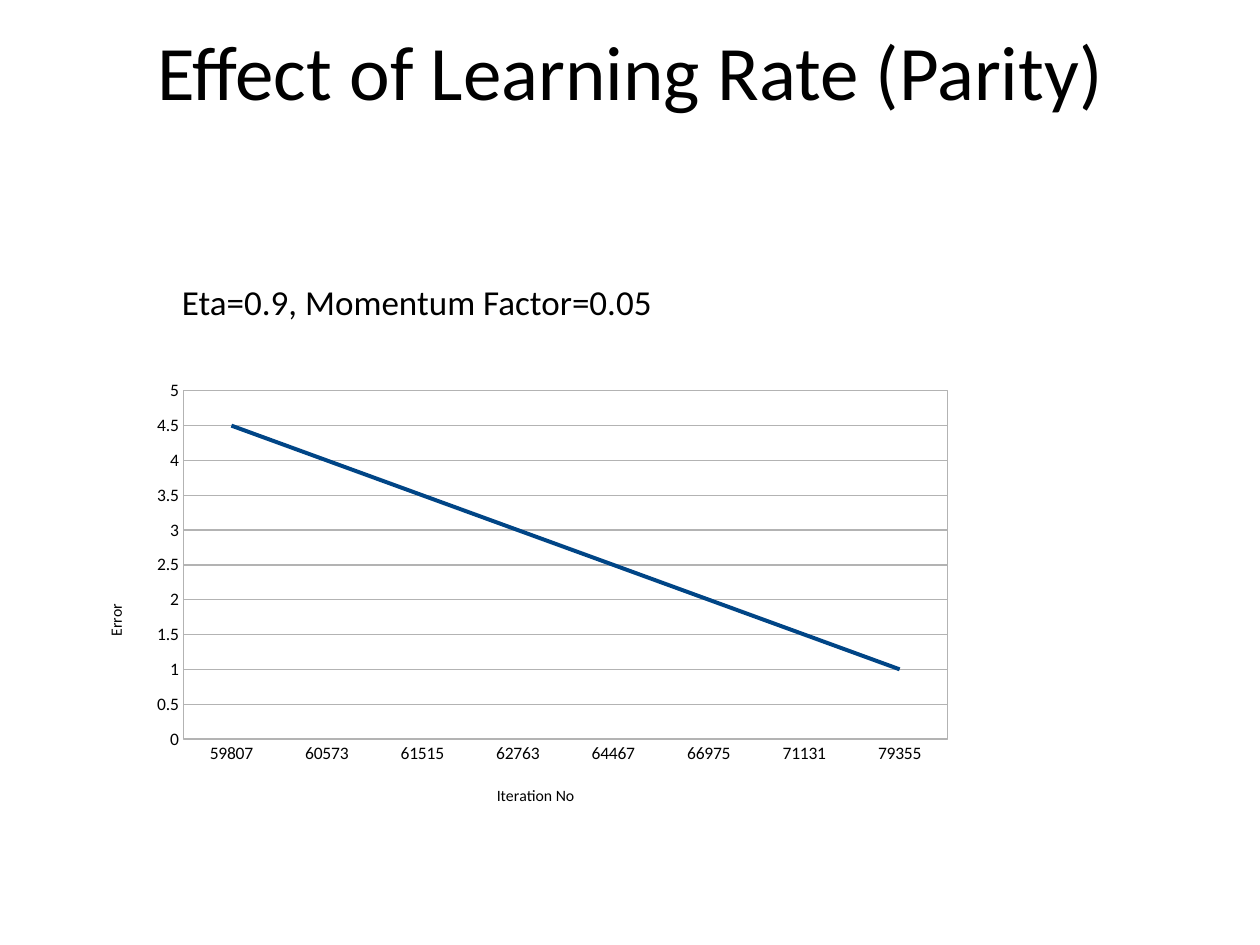
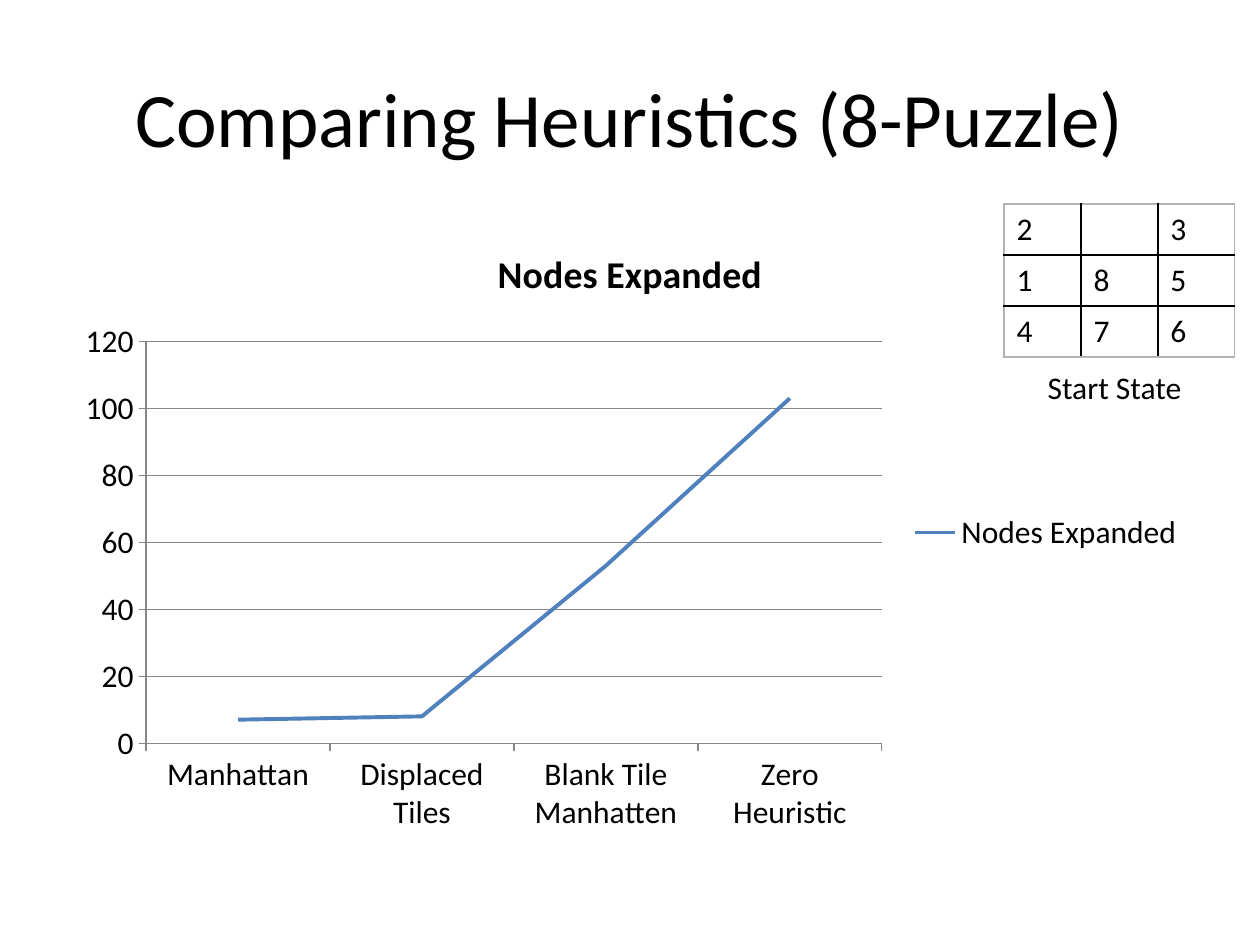
"""Build two slides with line charts on learning rate and search heuristics."""
import pptx
import pptx.chart.data
import pptx.dml.color
import pptx.enum.chart
import pptx.enum.text
import pptx.oxml
import pptx.oxml.ns
import pptx.util

Cm = pptx.util.Cm
Pt = pptx.util.Pt
TickMark = pptx.enum.chart.XL_TICK_MARK

FONT = "Calibri"
BLACK = "000000"
CHART_BOX = (1.27, 4.45, 22.86, 12.57)

LEARNING = {
    "title": "Effect of Learning Rate (Parity)",
    "title_box": (0.03, 0.08, 25.37, 2.64),
    "series": "Series 1",
    "categories": ["59807", "60573", "61515", "62763", "64467", "66975", "71131", "79355"],
    "values": [4.5, 4, 3.5, 3, 2.5, 2, 1.5, 1],
    "size": 10, "color": "004586", "width": 2.27, "grid": "B3B3B3",
    "tick": TickMark.NONE, "maximum": 5, "step": 0.5,
}
HEURISTICS = {
    "title": "Comparing Heuristics (8-Puzzle)",
    "title_box": (1.27, 0.76, 22.86, 3.18),
    "series": "Nodes Expanded",
    "categories": ["Manhattan", "Displaced Tiles", "Blank Tile Manhatten", "Zero Heuristic"],
    "values": [7, 8, 53, 103],
    "size": 18, "color": "4F81BD", "width": 2.25, "grid": "878787",
    "tick": TickMark.OUTSIDE, "maximum": 120, "step": 20,
}
PARAMETERS = ("Eta=0.9, Momentum Factor=0.05", (3.3, 5.54, 10.21, 1.12), 20)
START_LABEL = ("Start State", (20.29, 7.29, 4.39, 1.02), 18)
START_STATE = [["2", "", "3"], ["1", "8", "5"], ["4", "7", "6"]]
TABLE_CORNER = (20.24, 4.11)
CELL_SIZE = (1.55, 1.03)
OUTER_BORDER = "B3B3B3"
AXIS_TITLES = {"catAx": ("Iteration No", 0.38, 0.9), "valAx": ("Error", 0.035, 0.61)}
PLOT_LAYOUT = {"x": 0.083, "y": 0.257, "w": 0.697, "h": 0.614}


def rgb(color):
    return pptx.dml.color.RGBColor.from_string(color)


def style_font(font, size, bold=False):
    font.name, font.size, font.bold = FONT, Pt(size), bold
    font.color.rgb = rgb(BLACK)


def style_text(text_frame, size, bold=False):
    for paragraph in text_frame.paragraphs:
        for run in paragraph.runs:
            style_font(run.font, size, bold)


def style_line(line, color, width=0.75):
    line.color.rgb = rgb(color)
    line.width = Pt(width)


def parse_xml(tag, body, attributes=""):
    prefix = tag.split(":")[0]
    namespaces = pptx.oxml.ns.nsdecls(*dict.fromkeys([prefix, "a"]))
    return pptx.oxml.parse_xml(f"<{tag} {namespaces} {attributes}>{body}</{tag}>")


def solid_fill(color):
    return f'<a:solidFill><a:srgbClr val="{color}"/></a:solidFill>'


def add_titled_slide(presentation, content):
    slide = presentation.slides.add_slide(presentation.slide_layouts[5])
    title = slide.shapes.title
    title.left, title.top, title.width, title.height = map(Cm, content["title_box"])
    title.text_frame.text = content["title"]
    title.text_frame.vertical_anchor = pptx.enum.text.MSO_ANCHOR.MIDDLE
    title.text_frame.paragraphs[0].alignment = pptx.enum.text.PP_ALIGN.CENTER
    style_text(title.text_frame, 44)
    return slide


def add_label(slide, label):
    text, box, size = label
    text_frame = slide.shapes.add_textbox(*map(Cm, box)).text_frame
    text_frame.text = text
    style_text(text_frame, size)
    return text_frame


def add_line_chart(slide, content):
    data = pptx.chart.data.CategoryChartData()
    data.categories = content["categories"]
    data.add_series(content["series"], content["values"])
    chart = slide.shapes.add_chart(
        pptx.enum.chart.XL_CHART_TYPE.LINE, *map(Cm, CHART_BOX), data).chart
    chart.has_title = chart.has_legend = False
    style_font(chart.font, content["size"])
    chart.plots[0].vary_by_categories = False
    series = chart.plots[0].series[0]
    series.smooth = False
    style_line(series.format.line, content["color"], content["width"])
    for axis in (chart.category_axis, chart.value_axis):
        axis.major_tick_mark = content["tick"]
        style_line(axis.format.line, content["grid"])
    value_axis = chart.value_axis
    value_axis.minimum_scale = 0
    value_axis.maximum_scale = content["maximum"]
    value_axis.major_unit = content["step"]
    value_axis.has_major_gridlines = True
    style_line(value_axis.major_gridlines.format.line, content["grid"])
    return chart


def set_layout(element, index, target="", **positions):
    for layout in element.xpath("c:layout"):
        element.remove(layout)
    modes = "".join(f'<c:{side}Mode val="edge"/>' for side in "xy")
    values = "".join(f'<c:{name} val="{value}"/>' for name, value in positions.items())
    element.insert(index, parse_xml(
        "c:layout", f"<c:manualLayout>{target}{modes}{values}</c:manualLayout>"))


def arrange_learning_chart(chart):
    root = chart._chartSpace
    for axis, (tag, (text, x, y)) in zip(
            (chart.category_axis, chart.value_axis), AXIS_TITLES.items()):
        axis.axis_title.text_frame.text = text
        style_text(axis.axis_title.text_frame, 9)
        set_layout(root.xpath(f".//c:{tag}/c:title")[0], 1, x=x, y=y)
    root.xpath(".//c:valAx/c:title//a:bodyPr")[0].set("rot", "-5400000")
    plot_area = root.xpath(".//c:plotArea")[0]
    set_layout(plot_area, 0, '<c:layoutTarget val="outer"/>', **PLOT_LAYOUT)
    border = f'<a:noFill/><a:ln w="9525">{solid_fill(LEARNING["grid"])}</a:ln>'
    plot_area.append(parse_xml("c:spPr", border))


def add_puzzle(slide):
    count = len(START_STATE)
    width, height = (Cm(side) for side in CELL_SIZE)
    table = slide.shapes.add_table(
        count, count, *map(Cm, TABLE_CORNER), width * count, height * count).table
    table.first_row = table.horz_banding = False
    for index in range(count):
        table.columns[index].width = width
        table.rows[index].height = height
    for row, tiles in enumerate(START_STATE):
        for column, tile in enumerate(tiles):
            cell = table.cell(row, column)
            cell.text_frame.text = tile
            style_text(cell.text_frame, 18)
            cell.fill.background()
            outer_sides = {"L": column == 0, "R": column == count - 1,
                           "T": row == 0, "B": row == count - 1}
            properties = cell._tc.get_or_add_tcPr()
            for index, (side, outer) in enumerate(outer_sides.items()):
                color = OUTER_BORDER if outer else BLACK
                properties.insert(index, parse_xml(
                    f"a:ln{side}", solid_fill(color), 'w="12700"'))


def build_learning_slide(presentation):
    slide = add_titled_slide(presentation, LEARNING)
    arrange_learning_chart(add_line_chart(slide, LEARNING))
    text_frame = add_label(slide, PARAMETERS)
    text_frame.paragraphs[0].alignment = pptx.enum.text.PP_ALIGN.CENTER


def build_heuristics_slide(presentation):
    slide = add_titled_slide(presentation, HEURISTICS)
    chart = add_line_chart(slide, HEURISTICS)
    chart.has_title = True
    chart.chart_title.text_frame.text = HEURISTICS["series"]
    style_text(chart.chart_title.text_frame, 21.6, bold=True)
    chart.has_legend = True
    chart.legend.position = pptx.enum.chart.XL_LEGEND_POSITION.RIGHT
    chart.legend.include_in_layout = False
    add_puzzle(slide)
    text_frame = add_label(slide, START_LABEL)
    text_frame.word_wrap = True
    text_frame.margin_left = Cm(0.83)


def main():
    presentation = pptx.Presentation()
    presentation.slide_width, presentation.slide_height = Cm(25.4), Cm(19.05)
    build_learning_slide(presentation)
    build_heuristics_slide(presentation)
    presentation.save("out.pptx")


if __name__ == "__main__":
    main()
